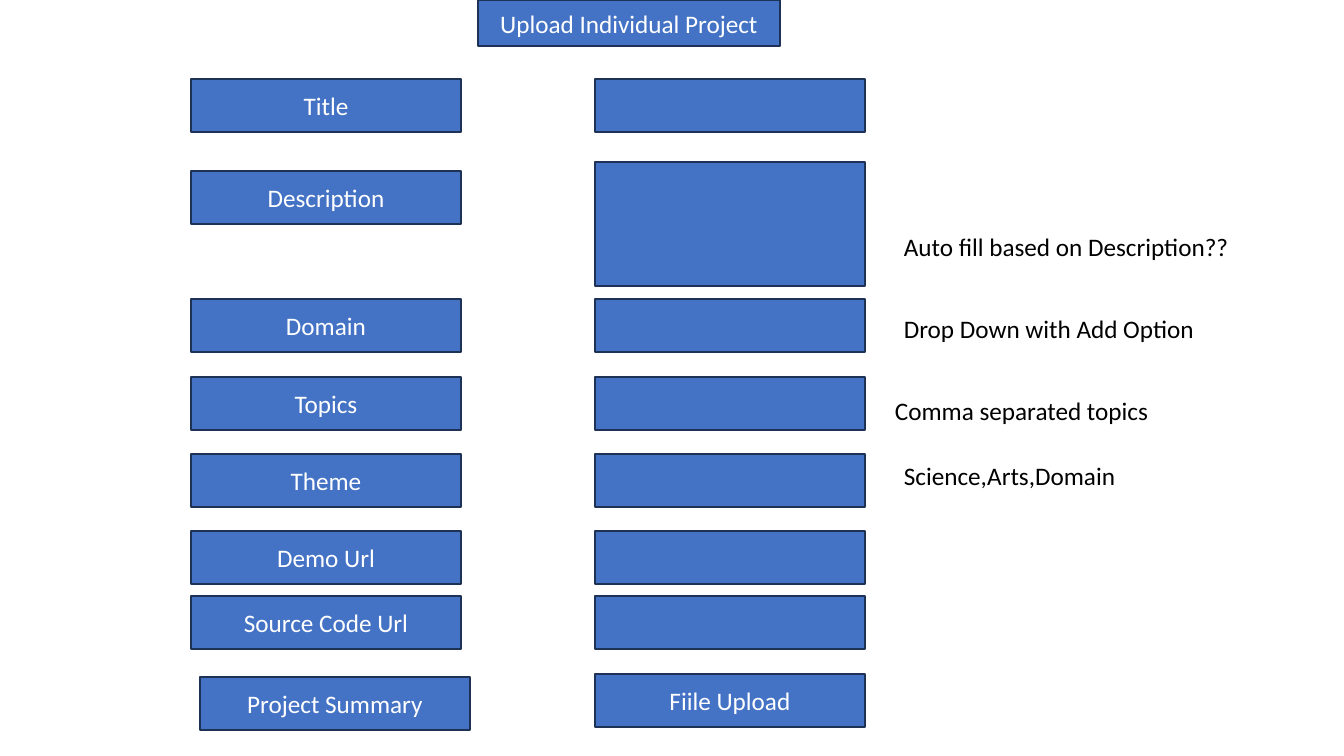
"""Build the form sketch for uploading an individual project."""
import dataclasses
import typing

import pptx
import pptx.dml.color
import pptx.enum.shapes
import pptx.enum.text
import pptx.util

EMU_PER_PIXEL = 914400 / 100.8
BLUE = pptx.dml.color.RGBColor(0x44, 0x72, 0xC4)
NAVY = pptx.dml.color.RGBColor(0x1E, 0x32, 0x56)
WHITE = pptx.dml.color.RGBColor(0xFF, 0xFF, 0xFF)
BLACK = pptx.dml.color.RGBColor(0x00, 0x00, 0x00)

LABEL_LEFT, FIELD_LEFT, NOTE_LEFT = 191, 595, 894
BOX_WIDTH, BOX_HEIGHT, NOTE_HEIGHT = 270, 53, 40

FONT_FORMAT = {"name": "Calibri", "size": pptx.util.Pt(18), "bold": False}
BOX_FORMAT = {
    "word_wrap": True,
    "vertical_anchor": pptx.enum.text.MSO_ANCHOR.MIDDLE,
}
NOTE_FORMAT = {
    "word_wrap": False,
    "auto_size": pptx.enum.text.MSO_AUTO_SIZE.SHAPE_TO_FIT_TEXT,
    "vertical_anchor": pptx.enum.text.MSO_ANCHOR.TOP,
}


@dataclasses.dataclass(frozen=True)
class Box:
    """A filled rectangle, with or without a caption."""
    left: int
    top: int
    width: int = BOX_WIDTH
    height: int = BOX_HEIGHT
    text: str = ""


@dataclasses.dataclass(frozen=True)
class Note:
    """A remark to the right of the fields."""
    text: str
    top: int
    width: int
    left: int = NOTE_LEFT


@dataclasses.dataclass(frozen=True)
class Row:
    """A form row: a label and the field beside it."""
    label: str
    top: int
    field_top: int
    label_left: int = LABEL_LEFT
    field_height: int = BOX_HEIGHT
    field_text: str = ""


HEADING = Box(478, 0, 302, 46, "Upload Individual Project")
ROWS = [
    Row("Title", 79, 79),
    Row("Description", 171, 162, field_height=124),
    Row("Domain", 299, 299),
    Row("Topics", 377, 377),
    Row("Theme", 454, 454),
    Row("Demo Url", 531, 531),
    Row("Source Code Url", 596, 596),
    Row("Project Summary", 677, 674, label_left=200, field_text="Fiile Upload"),
]
NOTES = [
    Note("Auto fill based on Description??", 226, 349),
    Note("Drop Down with Add Option", 308, 314),
    Note("Comma separated topics", 390, 276, left=885),
    Note("Science,Arts,Domain", 455, 234),
]


def emu(pixels: int) -> pptx.util.Emu:
    """Turn pixels into EMU."""
    return pptx.util.Emu(round(pixels * EMU_PER_PIXEL))


def apply_format(target: typing.Any, values: dict[str, typing.Any]) -> None:
    """Set each named attribute on the target."""
    for name, value in values.items():
        setattr(target, name, value)


def write_text(frame: typing.Any, text: str, color: pptx.dml.color.RGBColor,
               alignment: pptx.enum.text.PP_ALIGN) -> None:
    """Write one line of text in the shared font."""
    para = frame.paragraphs[0]
    para.alignment = alignment
    span = para.add_run()
    span.text = text
    apply_format(span.font, FONT_FORMAT)
    span.font.color.rgb = color


def draw_box(page: typing.Any, box: Box) -> None:
    """Draw a blue rectangle and its caption, if any."""
    shape = page.shapes.add_shape(
        pptx.enum.shapes.MSO_SHAPE.RECTANGLE,
        *map(emu, (box.left, box.top, box.width, box.height)))
    shape.shadow.inherit = False
    shape.fill.solid()
    shape.fill.fore_color.rgb = BLUE
    shape.line.color.rgb = NAVY
    shape.line.width = pptx.util.Pt(1)
    apply_format(shape.text_frame, BOX_FORMAT)
    if box.text:
        write_text(shape.text_frame, box.text, WHITE,
                   pptx.enum.text.PP_ALIGN.CENTER)


def draw_row(page: typing.Any, row: Row) -> None:
    """Draw the label and the field of a row."""
    draw_box(page, Box(row.label_left, row.top, text=row.label))
    draw_box(page, Box(FIELD_LEFT, row.field_top,
                       height=row.field_height, text=row.field_text))


def draw_note(page: typing.Any, note: Note) -> None:
    """Draw a remark as plain text."""
    shape = page.shapes.add_textbox(
        *map(emu, (note.left, note.top, note.width, NOTE_HEIGHT)))
    apply_format(shape.text_frame, NOTE_FORMAT)
    write_text(shape.text_frame, note.text, BLACK,
               pptx.enum.text.PP_ALIGN.LEFT)


def main() -> None:
    """Build and save the deck."""
    deck = pptx.Presentation()
    apply_format(deck, {"slide_width": emu(1344), "slide_height": emu(756)})
    page = deck.slides.add_slide(deck.slide_layouts[6])
    draw_box(page, HEADING)
    for row in ROWS:
        draw_row(page, row)
    for note in NOTES:
        draw_note(page, note)
    deck.save("out.pptx")


main()
